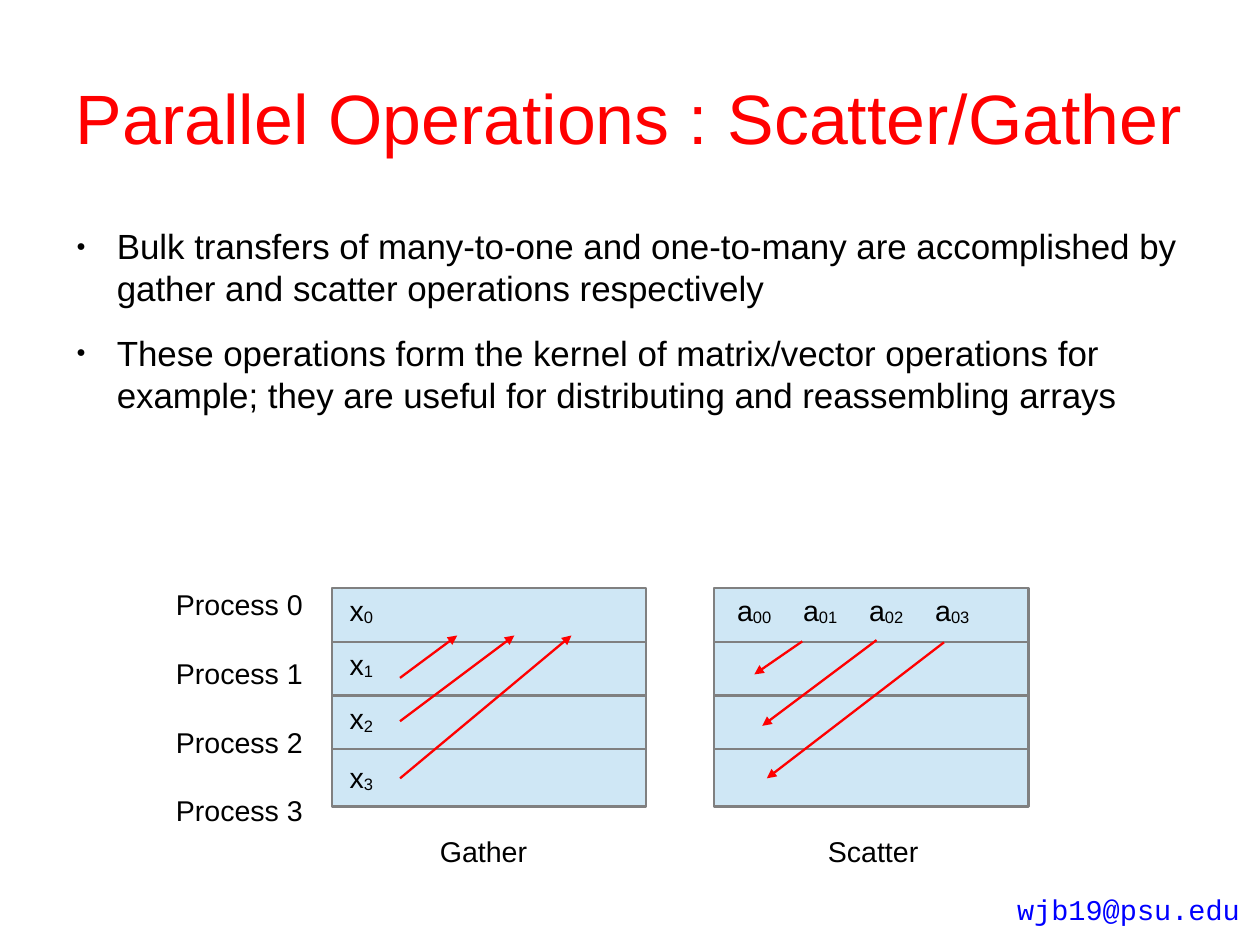
import lxml.etree
import pptx
import pptx.dml.color
import pptx.enum.shapes
import pptx.enum.text
import pptx.oxml.ns
import pptx.util

Pt = pptx.util.Pt
qn = pptx.oxml.ns.qn

COLORS = {"red": "FF0000", "black": "000000", "blue": "0000FF",
          "bar": "CFE7F5", "border": "808080"}

TITLE = "Parallel Operations : Scatter/Gather"
BULLETS = [
    "Bulk transfers of many-to-one and one-to-many are accomplished by "
    "gather and scatter operations respectively",
    "These operations form the kernel of matrix/vector operations for "
    "example; they are useful for distributing and reassembling arrays",
]
PROCESSES = ["Process 0", "Process 1", "Process 2", "Process 3"]
VECTOR = [("0", 370), ("1", 404), ("2", 438.2), ("3", 475.2)]  # index, top
MATRIX_ROW = ["00", "01", "02", "03"]
CAPTIONS = [("Gather", 270), ("Scatter", 514.4)]
EMAIL = "wjb19@psu.edu"

SLIDE_WIDTH, SLIDE_HEIGHT = 793.75, 595.25
BLOCK_LEFTS = [209.2, 450]
BLOCK_TOP, BAR_WIDTH, BAR_HEIGHT, BAR_STEP = 370.5, 198, 36, 33.84
MATRIX_STEP = 41.6
LINE_WIDTH = 1.45
GATHER_LEFT, GATHER_END = 252, 400.3
ARROWS = [
    ((GATHER_LEFT, 427), (288, GATHER_END)),
    ((GATHER_LEFT, 454.3), (324, GATHER_END)),
    ((GATHER_LEFT, 490.3), (360, GATHER_END)),
    ((505.4, 404), (475.2, 424.8)),
    ((552.2, 403.2), (480.2, 457.2)),
    ((594.7, 404.6), (483.1, 490.3)),
]


def rgb(name):
    return pptx.dml.color.RGBColor.from_string(COLORS[name])


def add_child(parent, tag, **attributes):
    return lxml.etree.SubElement(parent, qn(tag), attributes)


def add_run(paragraph, text, size=18, color="black", font="Arial", subscript=False):
    run = paragraph.add_run()
    run.text = text
    run.font.size = Pt(size)
    run.font.name = font
    run.font.color.rgb = rgb(color)
    if subscript:
        run._r.get_or_add_rPr().set("baseline", "-8000")


def set_frame(frame, margin_x, margin_y, wrap=True):
    frame.auto_size = pptx.enum.text.MSO_AUTO_SIZE.NONE
    frame.word_wrap = wrap
    frame.margin_left = frame.margin_right = Pt(margin_x)
    frame.margin_top = frame.margin_bottom = Pt(margin_y)


def add_text_box(slide, left, top, width, height, margins=(7.2, 3.6), wrap=True):
    box = slide.shapes.add_textbox(Pt(left), Pt(top), Pt(width), Pt(height))
    set_frame(box.text_frame, *margins, wrap=wrap)
    return box.text_frame


def paragraphs_for(frame, texts):
    """Yield one paragraph with each text."""
    for index, text in enumerate(texts):
        yield (frame.add_paragraph() if index else frame.paragraphs[0]), text


def add_title(slide):
    title = slide.shapes.title
    title.left, title.top, title.width, title.height = Pt(39.6), Pt(23.8), Pt(714.2), Pt(99.4)
    set_frame(title.text_frame, 0, 0)
    title.text_frame.vertical_anchor = pptx.enum.text.MSO_ANCHOR.MIDDLE
    paragraph = title.text_frame.paragraphs[0]
    paragraph.alignment = pptx.enum.text.PP_ALIGN.CENTER
    add_run(paragraph, TITLE, 44, "red")


def add_bullets(slide):
    frame = add_text_box(slide, 39.6, 141.8, 714.2, 393, margins=(0, 0))
    for paragraph, text in paragraphs_for(frame, BULLETS):
        properties = paragraph._p.get_or_add_pPr()
        properties.set("marL", str(Pt(34)))
        properties.set("indent", str(-Pt(25.5)))
        add_child(add_child(properties, "a:buClr"), "a:srgbClr", val=COLORS["black"])
        add_child(properties, "a:buSzPct", val="45000")
        add_child(properties, "a:buFont", typeface="Arial")
        add_child(properties, "a:buChar", char="●")
        paragraph.space_after = Pt(14.2)
        add_run(paragraph, text, 22)


def add_block(slide, left):
    """Stack one bar per process in a group."""
    group = slide.shapes.add_group_shape()
    for row in range(len(PROCESSES)):
        bar = group.shapes.add_shape(
            pptx.enum.shapes.MSO_SHAPE.RECTANGLE, Pt(left),
            Pt(BLOCK_TOP + row * BAR_STEP), Pt(BAR_WIDTH), Pt(BAR_HEIGHT))
        bar.shadow.inherit = False
        bar.fill.solid()
        bar.fill.fore_color.rgb = rgb("bar")
        bar.line.color.rgb = rgb("border")
        bar.line.width = Pt(LINE_WIDTH)


def add_labels(slide):
    frame = add_text_box(slide, 103.7, 366.5, 94.3, 148.3, wrap=False)
    for paragraph, process in paragraphs_for(frame, PROCESSES):
        paragraph.space_after = Pt(21.6)
        add_run(paragraph, process)

    for index, top in VECTOR:
        paragraph = add_text_box(slide, 213.1, top, 57, 33).paragraphs[0]
        add_run(paragraph, "x")
        add_run(paragraph, index, subscript=True)

    paragraph = add_text_box(slide, 457.2, 370, 190.8, 33).paragraphs[0]
    tabs = add_child(paragraph._p.get_or_add_pPr(), "a:tabLst")
    for column, index in enumerate(MATRIX_ROW):
        if column:
            add_child(tabs, "a:tab", pos=str(Pt(column * MATRIX_STEP)), algn="l")
        add_run(paragraph, "\ta" if column else "a")
        add_run(paragraph, index, subscript=True)


def add_arrow(slide, start, end):
    arrow = slide.shapes.add_connector(
        pptx.enum.shapes.MSO_CONNECTOR.STRAIGHT, *map(Pt, start + end))
    arrow.line.color.rgb = rgb("red")
    arrow.line.width = Pt(LINE_WIDTH)
    add_child(arrow.line._get_or_add_ln(), "a:tailEnd", type="triangle")
    add_child(arrow._element.spPr, "a:effectLst")


def main():
    presentation = pptx.Presentation()
    presentation.slide_width, presentation.slide_height = Pt(SLIDE_WIDTH), Pt(SLIDE_HEIGHT)
    slide = presentation.slides.add_slide(presentation.slide_layouts.get_by_name("Title Only"))
    add_title(slide)
    add_bullets(slide)
    for left in BLOCK_LEFTS:
        add_block(slide, left)
    add_labels(slide)
    for start, end in ARROWS:
        add_arrow(slide, start, end)
    for caption, left in CAPTIONS:
        add_run(add_text_box(slide, left, 521.5, 97.6, 27.4).paragraphs[0], caption)
    email = add_text_box(slide, 633.6, 558, 154.8, 27.4, wrap=False).paragraphs[0]
    add_run(email, EMAIL, color="blue", font="Courier New")
    presentation.save("out.pptx")


if __name__ == "__main__":
    main()
